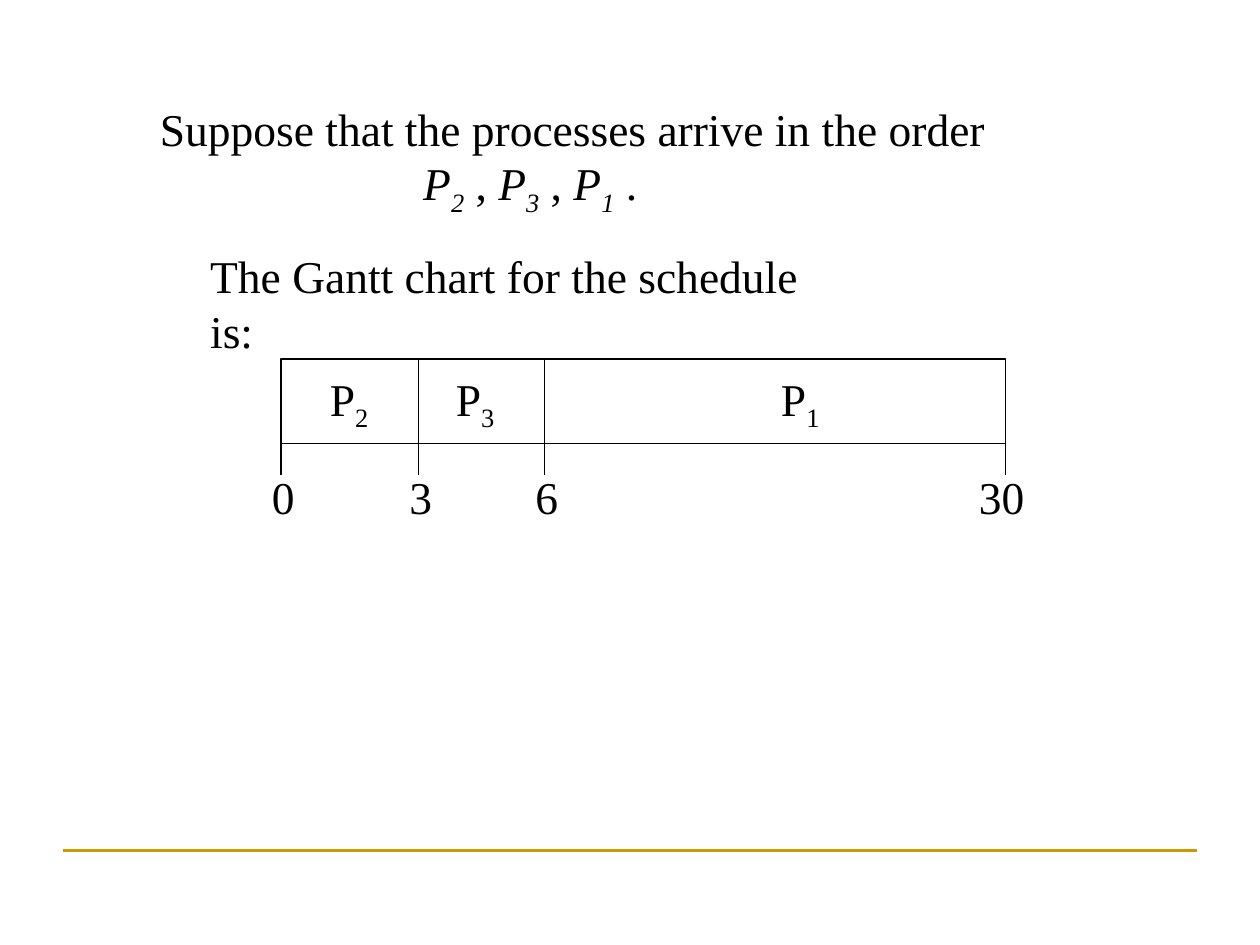
"""Build the shortest-burst-first Gantt chart slide for three processes."""
from dataclasses import dataclass

import pptx
import pptx.dml.color
import pptx.enum.shapes
import pptx.enum.text
import pptx.oxml
import pptx.util

Inches, Pt = pptx.util.Inches, pptx.util.Pt
RGB = pptx.dml.color.RGBColor
Anchor = pptx.enum.text.MSO_ANCHOR


@dataclass(frozen=True)
class Theme:
    font: str = "Times New Roman"
    size: float = 26
    ink: str = "000000"
    paper: str = "FFFFFF"
    gold: str = "CC9900"
    thin: float = 0.75
    rule: float = 1.5


@dataclass(frozen=True)
class Piece:
    text: str
    italic: bool = False
    sub: bool = False


@dataclass(frozen=True)
class Burst:
    number: str
    left: float
    right: float
    label_left: float


@dataclass(frozen=True)
class Mark:
    time: str
    x: float
    label_left: float
    label_width: float = 0.38


THEME = Theme()
WIDTH, HEIGHT = 10, 7.5
BAR_TOP, BAR_BOTTOM, TICK_END = 2.85, 3.52, 3.77
BURSTS = [
    Burst("2", 2.23, 3.32, 2.52),
    Burst("3", 3.32, 4.32, 3.52),
    Burst("1", 4.32, 7.98, 6.1),
]
MARKS = [
    Mark("0", 2.23, 2.06),
    Mark("3", 3.32, 3.15),
    Mark("6", 4.32, 4.15),
    Mark("30", 7.98, 7.67, 0.56),
]


def process(number: str, italic: bool = False) -> list[Piece]:
    """Return the pieces of a process name with its subscript."""
    return [Piece("P", italic), Piece(number, italic, True)]


def add_line(s, x1: float, y1: float, x2: float, y2: float, color: str, width: float) -> None:
    """Draw a straight line without a shadow."""
    line = s.shapes.add_connector(
        pptx.enum.shapes.MSO_CONNECTOR.STRAIGHT, Inches(x1), Inches(y1), Inches(x2), Inches(y2)
    )
    line.line.color.rgb = RGB.from_string(color)
    line.line.width = Pt(width)
    effects = '<a:effectLst xmlns:a="http://schemas.openxmlformats.org/drawingml/2006/main"/>'
    line._element.spPr.append(pptx.oxml.parse_xml(effects))


def add_text(s, left: float, top: float, width: float, height: float,
             paragraphs: list[list[Piece]], anchor=Anchor.TOP):
    """Add a text box made of paragraphs of styled pieces."""
    sp = s.shapes.add_textbox(Inches(left), Inches(top), Inches(width), Inches(height))
    tf = sp.text_frame
    tf.word_wrap = True
    tf.vertical_anchor = anchor
    for i, pieces in enumerate(paragraphs):
        p = tf.add_paragraph() if i else tf.paragraphs[0]
        for piece in pieces:
            r = p.add_run()
            r.text = piece.text
            r.font.name = THEME.font
            r.font.size = Pt(THEME.size)
            r.font.color.rgb = RGB.from_string(THEME.ink)
            r.font.italic = piece.italic
            if piece.sub:
                r._r.get_or_add_rPr().set("baseline", "-25000")
    return tf


def add_bar(s) -> None:
    """Draw the outline that holds all bursts."""
    left, right = BURSTS[0].left, BURSTS[-1].right
    sp = s.shapes.add_shape(
        pptx.enum.shapes.MSO_SHAPE.RECTANGLE,
        Inches(left), Inches(BAR_TOP), Inches(right - left), Inches(BAR_BOTTOM - BAR_TOP),
    )
    sp.shadow.inherit = False
    sp.fill.solid()
    sp.fill.fore_color.rgb = RGB.from_string(THEME.paper)
    sp.line.color.rgb = RGB.from_string(THEME.ink)
    sp.line.width = Pt(THEME.thin)


def add_gantt(s) -> None:
    """Draw the bar, its bursts, dividers, ticks and times."""
    add_bar(s)
    for burst in BURSTS:
        add_text(s, burst.label_left, 2.89, 0.6, 0.6, [process(burst.number)], Anchor.MIDDLE)
    for burst in BURSTS[1:]:
        add_line(s, burst.left, BAR_TOP, burst.left, BAR_BOTTOM, THEME.ink, THEME.thin)
    for mark in MARKS:
        add_line(s, mark.x, BAR_BOTTOM, mark.x, TICK_END, THEME.ink, THEME.thin)
        add_text(s, mark.label_left, 3.67, mark.label_width, 0.54,
                 [[Piece(mark.time)]], Anchor.MIDDLE)


def main() -> None:
    """Build and save the slide."""
    prs = pptx.Presentation()
    prs.slide_width, prs.slide_height = Inches(WIDTH), Inches(HEIGHT)
    s = prs.slides.add_slide(prs.slide_layouts[6])
    add_line(s, 0.05 * WIDTH, 0.9 * HEIGHT, 0.95 * WIDTH, 0.9 * HEIGHT, THEME.gold, THEME.rule)

    order = []
    for burst in BURSTS:
        separator = " ." if burst is BURSTS[-1] else " , "
        order += process(burst.number, italic=True) + [Piece(separator)]
    tf = add_text(s, 1.17, 0.75, 8.08, 1.03,
                  [[Piece("Suppose that the processes arrive in the order")], order])
    tf.paragraphs[1]._p.get_or_add_pPr().set("marL", str(Inches(2.09)))

    add_gantt(s)
    add_text(s, 1.57, 1.92, 5.2, 0.54, [[Piece("The Gantt chart for the schedule is:")]])
    prs.save("out.pptx")


if __name__ == "__main__":
    main()
